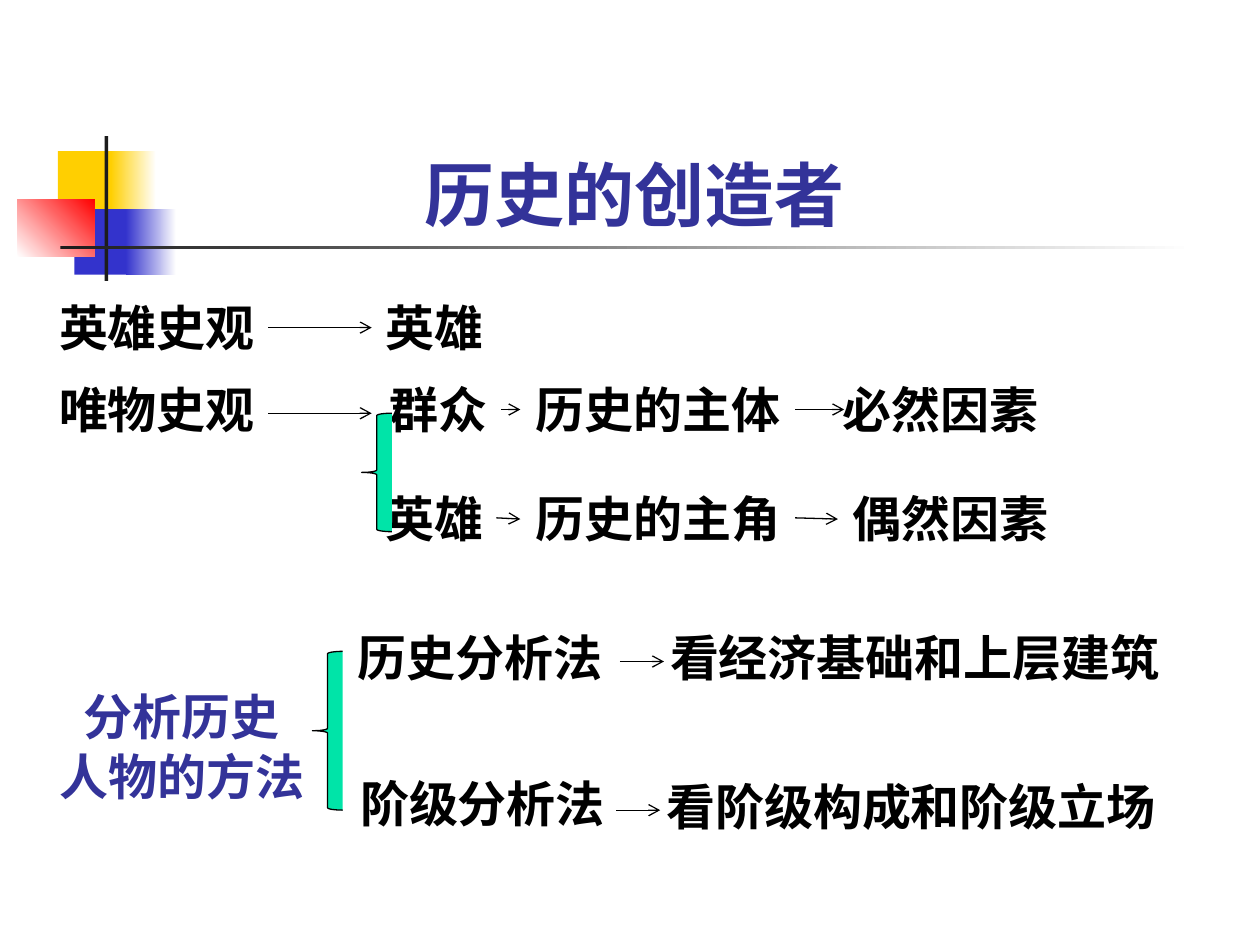
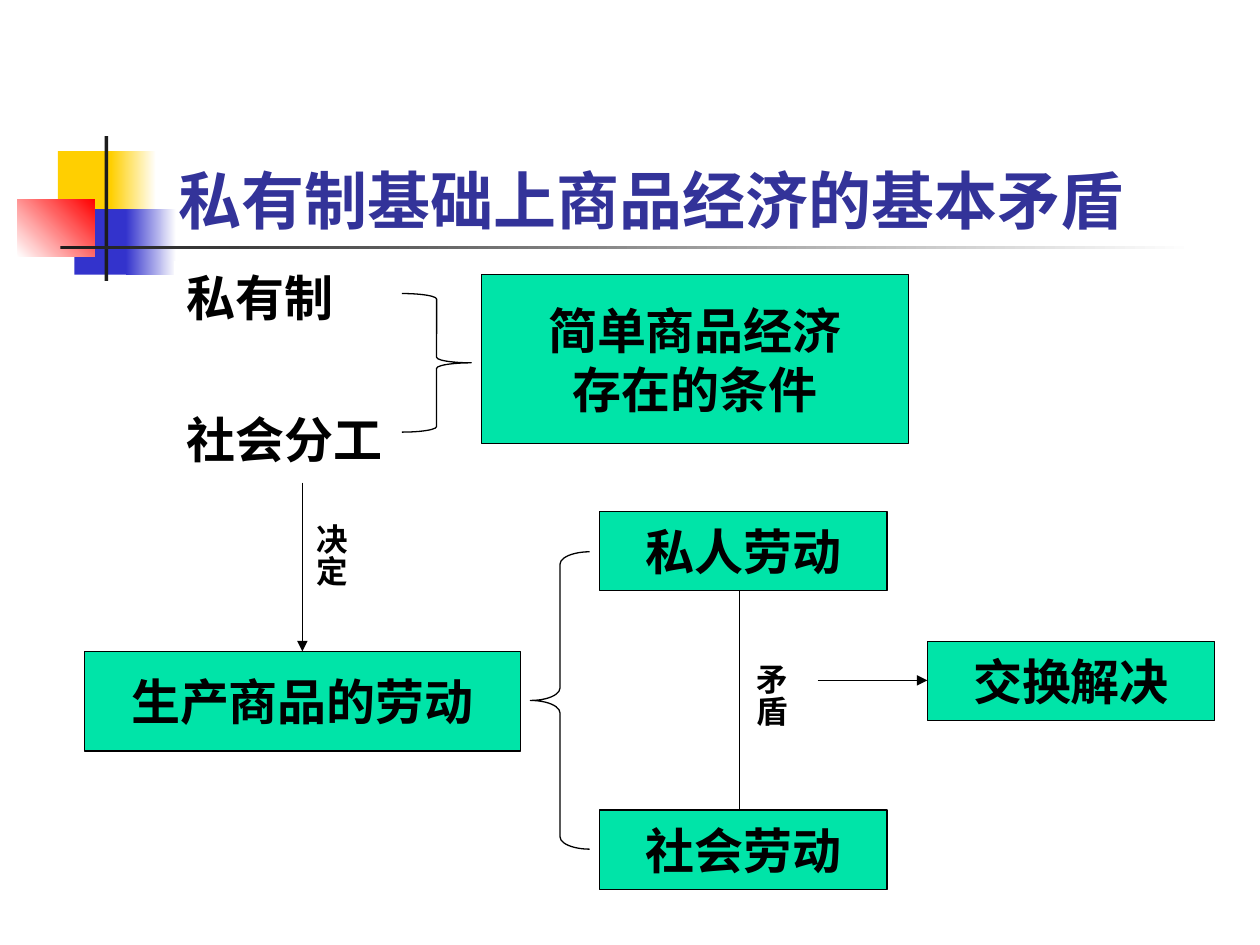
from dataclasses import dataclass
from typing import Optional

from lxml import etree
from pptx import Presentation, util as u
from pptx.dml.color import RGBColor
from pptx.enum import shapes, text
from pptx.oxml.ns import qn

PX = 9144  # 100 px to the inch
PX_PER_PT = 100 / 72
INSET_X, INSET_Y = 10, 5
LINE_RATIO = 1.2
BODY_SIZE, SMALL_SIZE = 28, 18
HAIRLINE = u.Pt(0.75)
LATIN, CJK = "Arial", "Noto Sans CJK SC"

BLACK = RGBColor(0x00, 0x00, 0x00)
WHITE = RGBColor(0xFF, 0xFF, 0xFF)
INK = RGBColor(0x1C, 0x1C, 0x1C)
NAVY = RGBColor(0x33, 0x33, 0x99)
BLUE = RGBColor(0x33, 0x33, 0xCC)
YELLOW = RGBColor(0xFF, 0xCF, 0x01)
RED = RGBColor(0xFF, 0x00, 0x00)
GREEN = RGBColor(0x00, 0xE4, 0xA8)

LEFT, CENTER = text.PP_ALIGN.LEFT, text.PP_ALIGN.CENTER
RECT = shapes.MSO_SHAPE.RECTANGLE
LEFT_BRACE = shapes.MSO_SHAPE.LEFT_BRACE
RIGHT_BRACE = shapes.MSO_SHAPE.RIGHT_BRACE


@dataclass(frozen=True)
class Band:
    x: int
    y: int
    w: int
    h: int
    color: RGBColor
    end: Optional[RGBColor] = None
    angle: int = 0


@dataclass(frozen=True)
class Label:
    x: int
    y: int
    text: str
    size: int = BODY_SIZE
    color: RGBColor = BLACK
    font: str = LATIN
    align: text.PP_ALIGN = LEFT


@dataclass(frozen=True)
class Box:
    x: int
    y: int
    w: int
    h: int
    text: str
    fill: RGBColor = GREEN
    bordered: bool = True
    align: text.PP_ALIGN = CENTER


@dataclass(frozen=True)
class Brace:
    kind: shapes.MSO_SHAPE
    x: int
    y: int
    w: int
    h: int
    fill: Optional[RGBColor] = None
    curl: float = 0.08


@dataclass(frozen=True)
class Line:
    x1: int
    y1: int
    x2: int
    y2: int
    head: Optional[str] = "arrow"


@dataclass(frozen=True)
class VerticalLabel:
    x: int
    y: int
    w: int
    h: int
    text: str


MASTER_BANDS = [
    Band(46, 120, 48, 52, YELLOW),
    Band(88, 120, 36, 52, YELLOW, WHITE),
    Band(59, 166, 46, 52, BLUE),
    Band(100, 166, 40, 52, BLUE, WHITE),
    Band(14, 158, 61, 46, WHITE, RED, 45),
    Band(83, 108, 3, 115, INK),
    Band(48, 195, 900, 3, INK, WHITE),
]

HERO_Y, MASSES_Y, LEAD_Y = 231, 296, 383
CREATOR_LABELS = [
    Label(327, 115, "历史的创造者", 40, NAVY),
    Label(37, HERO_Y, "英雄史观"),
    Label(296, HERO_Y, "英雄"),
    Label(37, MASSES_Y, "唯物史观"),
    Label(299, MASSES_Y, "群众"),
    Label(415, MASSES_Y, "历史的主体"),
    Label(659, MASSES_Y, "必然因素"),
    Label(296, LEAD_Y, "英雄"),
    Label(415, LEAD_Y, "历史的主角"),
    Label(667, LEAD_Y, "偶然因素"),
    Label(37, 540, "分析历史\n人物的方法", color=NAVY, align=CENTER),
    Label(274, 493, "历史分析法"),
    Label(522, 493, "看经济基础和上层建筑"),
    Label(276, 609, "阶级分析法"),
    Label(519, 611, "看阶级构成和阶级立场"),
]
CREATOR_ARROWS = [
    Line(213, 260, 295, 260),
    Line(213, 328, 295, 328),
    Line(398, 325, 413, 325),
    Line(631, 325, 670, 325),
    Line(394, 411, 413, 412),
    Line(631, 411, 665, 412),
    Line(492, 525, 527, 525),
    Line(489, 643, 524, 643),
]
CREATOR_BRACES = [
    Brace(LEFT_BRACE, 287, 328, 24, 94, GREEN),
    Brace(LEFT_BRACE, 248, 517, 24, 126, GREEN),
]

CONFLICT_TITLE = Label(132, 123, "私有制基础上商品经济的基本矛盾", 36, NAVY, CJK)
CONFLICT_BOXES = [
    Box(382, 218, 339, 134, "简单商品经济\n存在的条件"),
    Box(138, 207, 212, 57, "私有制", WHITE, False, LEFT),
    Box(138, 320, 212, 57, "社会分工", WHITE, False, LEFT),
    Box(67, 517, 346, 79, "生产商品的劳动"),
    Box(476, 406, 228, 63, "私人劳动"),
    Box(476, 643, 228, 63, "社会劳动"),
    Box(736, 509, 228, 63, "交换解决"),
]
CONFLICT_BRACES = [
    Brace(RIGHT_BRACE, 319, 233, 55, 110),
    Brace(LEFT_BRACE, 421, 438, 47, 236, curl=0.21),
]
CONFLICT_LINES = [
    Line(240, 383, 240, 517, "triangle"),
    Line(649, 540, 736, 540, "triangle"),
    Line(587, 469, 587, 643, None),
]
CONFLICT_VERTICALS = [
    VerticalLabel(238, 406, 50, 102, "决定"),
    VerticalLabel(587, 517, 50, 79, "矛盾"),
]


def emu(*lengths: float) -> list[int]:
    return [round(n * PX) for n in lengths]


def write(tf, content: str, size: int, color: RGBColor, font: str,
          align: text.PP_ALIGN) -> None:
    """Fill a text frame with bold paragraphs, one for each line of content."""
    tf.auto_size = text.MSO_AUTO_SIZE.NONE
    tf.vertical_anchor = text.MSO_ANCHOR.MIDDLE
    tf.margin_left, tf.margin_right = emu(INSET_X, INSET_X)
    tf.margin_top, tf.margin_bottom = emu(INSET_Y, INSET_Y)
    lines = content.split("\n")
    for i, line in enumerate(lines):
        p = tf.add_paragraph() if i else tf.paragraphs[0]
        p.alignment = align
        if len(lines) > 1:
            p.line_spacing = u.Pt(round(size * LINE_RATIO))
        r = p.add_run()
        r.text = line
        r.font.size, r.font.bold, r.font.name = u.Pt(size), True, font
        r.font.color.rgb = color
        etree.SubElement(r.font._element, qn("a:ea"), typeface=CJK)


def add_preset(s, kind: shapes.MSO_SHAPE, x: int, y: int, w: int, h: int,
               fill: Optional[RGBColor], bordered: bool):
    sp = s.shapes.add_shape(kind, *emu(x, y, w, h))
    sp.shadow.inherit = False
    if fill is None:
        sp.fill.background()
    else:
        sp.fill.solid()
        sp.fill.fore_color.rgb = fill
    if bordered:
        sp.line.color.rgb = BLACK
        sp.line.width = HAIRLINE
    else:
        sp.line.fill.background()
    return sp


def add_band(s, b: Band) -> None:
    sp = add_preset(s, RECT, b.x, b.y, b.w, b.h, b.color, False)
    if b.end is not None:
        sp.fill.gradient()
        sp.fill.gradient_angle = b.angle
        for stop, color, position in zip(sp.fill.gradient_stops, (b.color, b.end), (0, 1)):
            stop.color.rgb = color
            stop.position = position


def add_label(s, label: Label) -> None:
    """Place a text box sized from its longest line and its line count."""
    lines = label.text.split("\n")
    em = label.size * PX_PER_PT
    w = max(map(len, lines)) * em + 2 * INSET_X
    h = len(lines) * em * LINE_RATIO + 2 * INSET_Y
    tf = s.shapes.add_textbox(*emu(label.x, label.y, w, h)).text_frame
    tf.word_wrap = False
    write(tf, label.text, label.size, label.color, label.font, label.align)


def add_box(s, b: Box) -> None:
    tf = add_preset(s, RECT, b.x, b.y, b.w, b.h, b.fill, b.bordered).text_frame
    tf.word_wrap = True
    write(tf, b.text, BODY_SIZE, BLACK, LATIN, b.align)


def add_vertical_label(s, v: VerticalLabel) -> None:
    sp = s.shapes.add_textbox(*emu(v.x, v.y, v.w, v.h))
    sp.text_frame.word_wrap = True
    write(sp.text_frame, v.text, SMALL_SIZE, BLACK, LATIN, CENTER)
    sp._element.txBody.find(qn("a:bodyPr")).set("vert", "eaVert")


def add_brace(s, b: Brace) -> None:
    sp = add_preset(s, b.kind, b.x, b.y, b.w, b.h, b.fill, True)
    sp.adjustments[0] = b.curl


def add_line(s, line: Line) -> None:
    c = s.shapes.add_connector(shapes.MSO_CONNECTOR.STRAIGHT,
                               *emu(line.x1, line.y1, line.x2, line.y2))
    c.line.color.rgb = BLACK
    c.line.width = HAIRLINE
    sp_pr = c._element.spPr
    if line.head:
        etree.SubElement(sp_pr.find(qn("a:ln")), qn("a:tailEnd"), type=line.head)
    etree.SubElement(sp_pr, qn("a:effectLst"))


DRAW = {Band: add_band, Label: add_label, Box: add_box, Brace: add_brace,
        Line: add_line, VerticalLabel: add_vertical_label}


def add_slide(prs, items: list) -> None:
    """Add a blank slide with the shared bands, then its own items."""
    s = prs.slides.add_slide(prs.slide_layouts[6])
    for item in MASTER_BANDS + items:
        DRAW[type(item)](s, item)


def main() -> None:
    prs = Presentation()
    prs.slide_width, prs.slide_height = emu(1000, 750)
    add_slide(prs, CREATOR_LABELS + CREATOR_ARROWS + CREATOR_BRACES)
    add_slide(prs, [CONFLICT_TITLE] + CONFLICT_BOXES + CONFLICT_BRACES
              + CONFLICT_LINES + CONFLICT_VERTICALS)
    prs.save("out.pptx")


if __name__ == "__main__":
    main()
